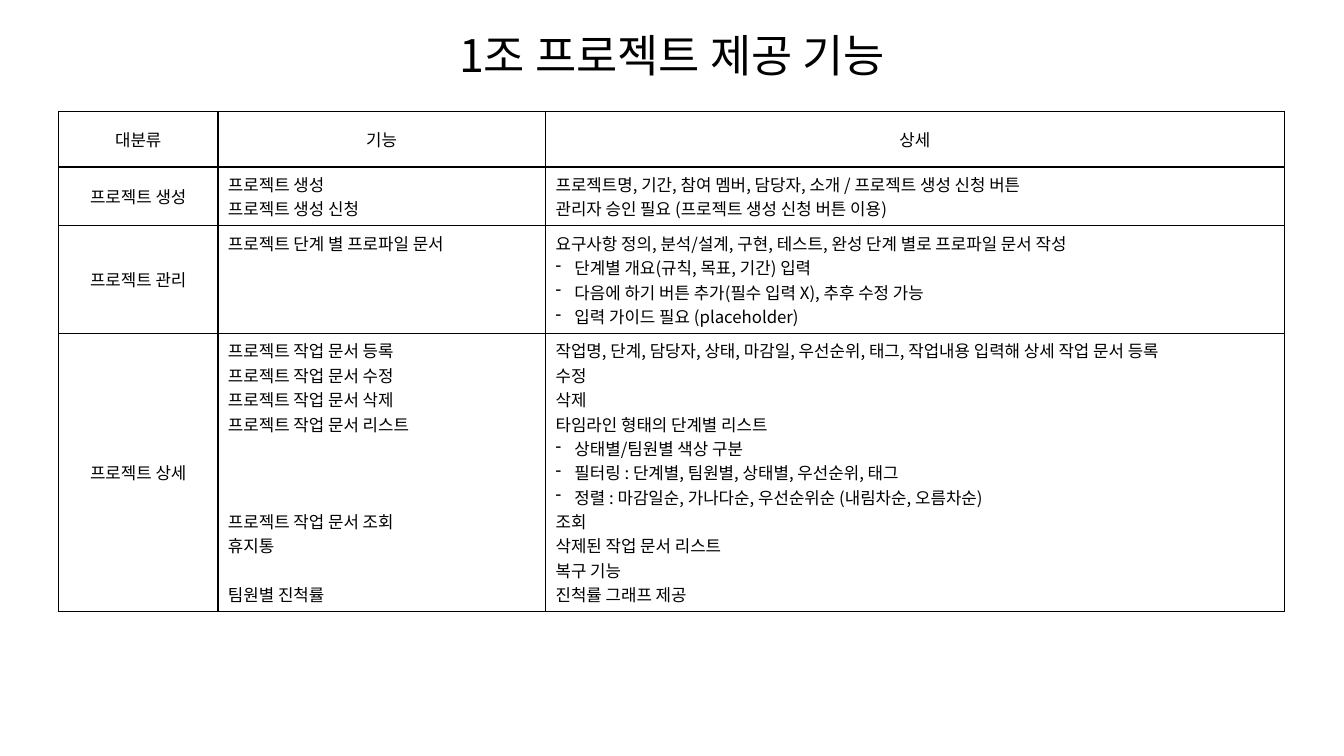
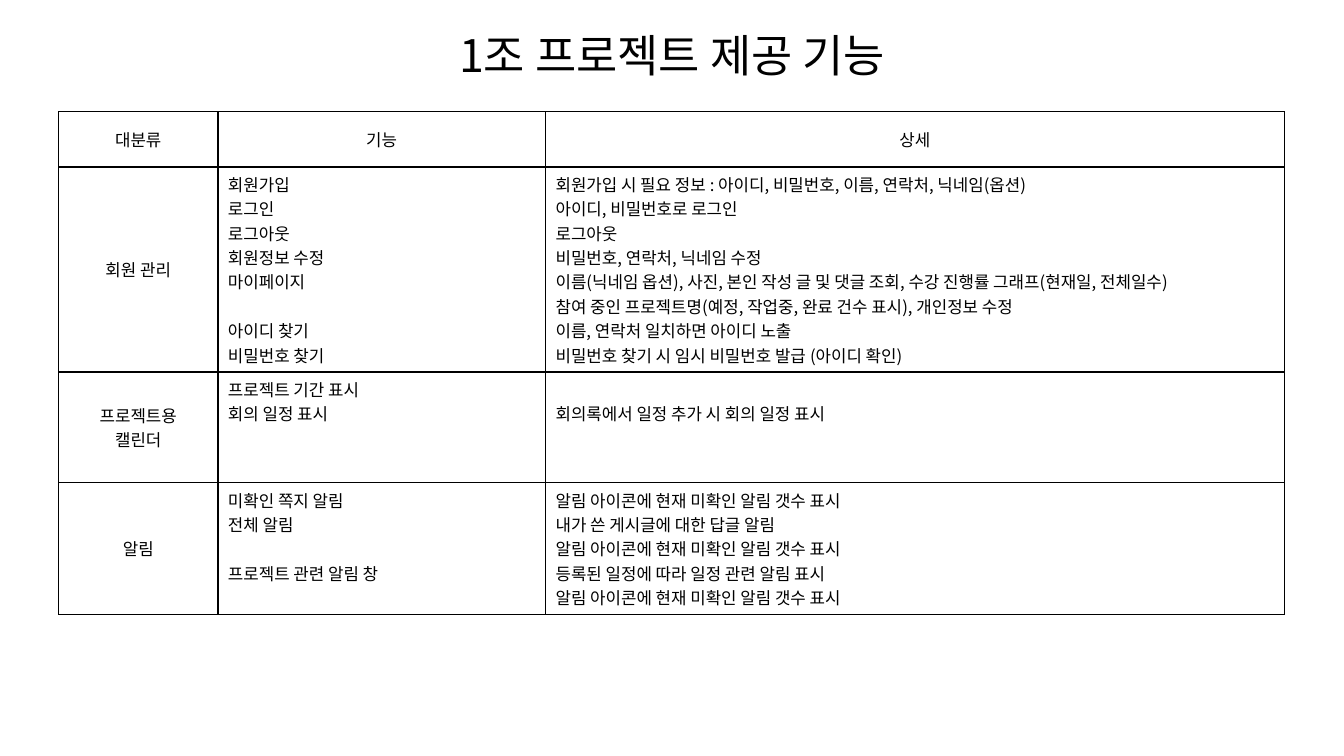
from lxml import etree
from pptx import Presentation
from pptx.dml.color import RGBColor
from pptx.enum.text import MSO_ANCHOR, PP_ALIGN
from pptx.oxml.ns import qn
from pptx.util import Pt

CENTER, LEFT = PP_ALIGN.CENTER, PP_ALIGN.LEFT
MIDDLE, TOP = MSO_ANCHOR.MIDDLE, MSO_ANCHOR.TOP

COLORS = {"text": "000000", "border": "000000", "fill": "FFFFFF"}
FONT = "Noto Sans CJK KR"
TITLE = "1조 프로젝트 제공 기능"
TITLE_FONT = {"name": FONT, "size": Pt(32), "bold": False}
CELL_FONT = {"name": FONT, "size": Pt(12), "bold": False}
TABLE_FLAGS = {"first_row": False, "horz_banding": False}

TITLE_BOX = (66.24, 14.4, 828, 54.72)
TABLE_LEFT, TABLE_TOP = 41.9, 79.8
COL_WIDTHS = (113.76, 234, 527.76)
MIN_ROW = 39.5
LINE = 17.4
CELL_MARGIN = 3.6
BULLET_INDENT = 13.5
BULLET = "- "

HEADER = ("대분류", "기능", "상세")
ALARM_COUNT = "알림 아이콘에 현재 미확인 알림 갯수 표시"

# Each row: category, features, details, least height.
# An empty line is a gap that keeps features level with their details.
PROJECT_ROWS = [
    (["프로젝트 생성"],
     ["프로젝트 생성", "프로젝트 생성 신청"],
     ["프로젝트명, 기간, 참여 멤버, 담당자, 소개 / 프로젝트 생성 신청 버튼",
      "관리자 승인 필요 (프로젝트 생성 신청 버튼 이용)"],
     MIN_ROW),
    (["프로젝트 관리"],
     ["프로젝트 단계 별 프로파일 문서"],
     ["요구사항 정의, 분석/설계, 구현, 테스트, 완성 단계 별로 프로파일 문서 작성",
      "- 단계별 개요(규칙, 목표, 기간) 입력",
      "- 다음에 하기 버튼 추가(필수 입력 X), 추후 수정 가능",
      "- 입력 가이드 필요 (placeholder)"],
     MIN_ROW),
    (["프로젝트 상세"],
     ["프로젝트 작업 문서 등록", "프로젝트 작업 문서 수정",
      "프로젝트 작업 문서 삭제", "프로젝트 작업 문서 리스트", "", "", "",
      "프로젝트 작업 문서 조회", "휴지통", "", "팀원별 진척률"],
     ["작업명, 단계, 담당자, 상태, 마감일, 우선순위, 태그, "
      "작업내용 입력해 상세 작업 문서 등록",
      "수정", "삭제", "타임라인 형태의 단계별 리스트",
      "- 상태별/팀원별 색상 구분",
      "- 필터링 : 단계별, 팀원별, 상태별, 우선순위, 태그",
      "- 정렬 : 마감일순, 가나다순, 우선순위순 (내림차순, 오름차순)",
      "조회", "삭제된 작업 문서 리스트", "복구 기능", "진척률 그래프 제공"],
     MIN_ROW),
]
MEMBER_ROWS = [
    (["회원 관리"],
     ["회원가입", "로그인", "로그아웃", "회원정보 수정", "마이페이지", "",
      "아이디 찾기", "비밀번호 찾기"],
     ["회원가입 시 필요 정보 : 아이디, 비밀번호, 이름, 연락처, 닉네임(옵션)",
      "아이디, 비밀번호로 로그인", "로그아웃",
      "비밀번호, 연락처, 닉네임 수정",
      "이름(닉네임 옵션), 사진, 본인 작성 글 및 댓글 조회, "
      "수강 진행률 그래프(현재일, 전체일수)",
      "참여 중인 프로젝트명(예정, 작업중, 완료 건수 표시), 개인정보 수정",
      "이름, 연락처 일치하면 아이디 노출",
      "비밀번호 찾기 시 임시 비밀번호 발급 (아이디 확인)"],
     MIN_ROW),
    (["프로젝트용", "캘린더"],
     ["프로젝트 기간 표시", "회의 일정 표시"],
     ["", "회의록에서 일정 추가 시 회의 일정 표시"],
     2 * MIN_ROW),
    (["알림"],
     ["미확인 쪽지 알림", "전체 알림", "", "프로젝트 관련 알림 창"],
     [ALARM_COUNT, "내가 쓴 게시글에 대한 답글 알림", ALARM_COUNT,
      "등록된 일정에 따라 일정 관련 알림 표시", ALARM_COUNT],
     MIN_ROW),
]


def add_run(p, text, font):
    """Add a run and apply the font values to Latin and Korean text."""
    r = p.add_run()
    r.text = text
    for name, value in font.items():
        setattr(r.font, name, value)
    r.font.color.rgb = RGBColor.from_string(COLORS["text"])
    etree.SubElement(r.font._element, qn("a:ea"), typeface=font["name"])


def set_bullet(p):
    """Give a paragraph a dash bullet with a hanging indent."""
    pPr = p._p.get_or_add_pPr()
    pPr.set("marL", str(Pt(BULLET_INDENT)))
    pPr.set("indent", str(-Pt(BULLET_INDENT)))
    etree.SubElement(pPr, qn("a:buChar"), char=BULLET.strip())


def set_borders(cell):
    """Draw a thin line on all four sides of a cell."""
    tcPr = cell._tc.get_or_add_tcPr()
    for side in ("lnL", "lnR", "lnT", "lnB"):
        ln = etree.SubElement(tcPr, qn(f"a:{side}"), w=str(Pt(1)))
        fill = etree.SubElement(ln, qn("a:solidFill"))
        etree.SubElement(fill, qn("a:srgbClr"), val=COLORS["border"])


def fill_cell(cell, lines, centered):
    """Style a cell and write its lines, turning empty lines into spacing."""
    set_borders(cell)
    cell.fill.solid()
    cell.fill.fore_color.rgb = RGBColor.from_string(COLORS["fill"])
    cell.vertical_anchor = MIDDLE if centered else TOP
    tf = cell.text_frame
    p, gap = None, 0
    for line in lines:
        if not line:
            gap += LINE
            continue
        if p is None:
            p = tf.paragraphs[0]
            cell.margin_top = Pt(CELL_MARGIN + gap)
        else:
            p = tf.add_paragraph()
            p.space_before = Pt(gap)
        p.alignment = CENTER if centered else LEFT
        if line.startswith(BULLET):
            set_bullet(p)
        add_run(p, line.removeprefix(BULLET), CELL_FONT)
        gap = 0


def add_title(slide):
    """Add the centred slide title."""
    sp = slide.shapes.add_textbox(*map(Pt, TITLE_BOX))
    tf = sp.text_frame
    tf.word_wrap = True
    tf.vertical_anchor = MIDDLE
    p = tf.paragraphs[0]
    p.alignment = CENTER
    p.line_spacing = 0.9
    add_run(p, TITLE, TITLE_FONT)


def add_feature_table(slide, rows):
    """Add the table of features, each row as tall as its longest cell."""
    heights = [MIN_ROW]
    for *cells, least in rows:
        count = max(map(len, cells))
        heights.append(max(least, count * LINE + 2 * CELL_MARGIN))
    box = (TABLE_LEFT, TABLE_TOP, sum(COL_WIDTHS), sum(heights))
    table = slide.shapes.add_table(
        len(heights), len(COL_WIDTHS), *map(Pt, box)).table
    for name, value in TABLE_FLAGS.items():
        setattr(table, name, value)
    for column, width in zip(table.columns, COL_WIDTHS):
        column.width = Pt(width)
    for row, height in zip(table.rows, heights):
        row.height = Pt(height)
    for j, heading in enumerate(HEADER):
        fill_cell(table.cell(0, j), [heading], True)
    for i, (*cells, _) in enumerate(rows, 1):
        for j, lines in enumerate(cells):
            fill_cell(table.cell(i, j), lines, j == 0)


def main():
    """Build the deck, one slide for each group of features."""
    prs = Presentation()
    prs.slide_width, prs.slide_height = Pt(960), Pt(540)
    for rows in (PROJECT_ROWS, MEMBER_ROWS):
        slide = prs.slides.add_slide(prs.slide_layouts[6])
        add_feature_table(slide, rows)
        add_title(slide)
    prs.save("out.pptx")


main()
